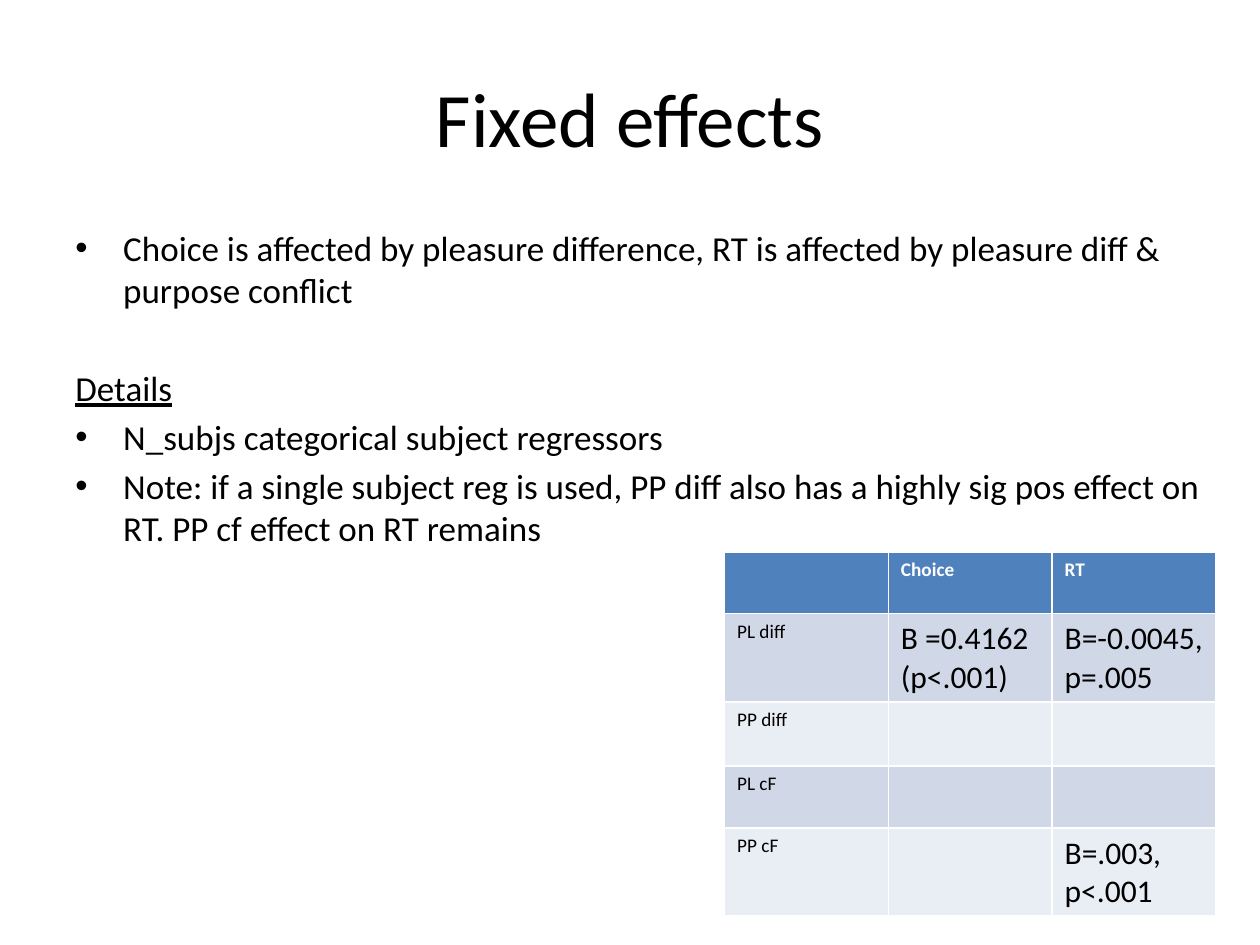
from lxml import etree
from pptx import Presentation, util as u
from pptx.dml.color import RGBColor
from pptx.enum import text
from pptx.oxml import ns

WIDTH, HEIGHT = 10, 7.5
FONT = "Calibri"
BLACK, WHITE = "000000", "FFFFFF"
HEADER, BAND, PLAIN = "4F81BD", "D0D8E8", "E9EDF4"

TITLE_BOX = (0.05, 0.04, 0.9, 1 / 6)
POINTS_BOX = (0.05, 0.233, 0.916, 0.403)
RESULTS_BOX = (0.575, 0.584, 0.39, 0.335)

POINTS = [
    ("Choice is affected by pleasure difference, RT is affected by "
     "pleasure diff & purpose conflict", True, 4),
    ("Details", False, 32),
    ("N_subjs categorical subject regressors", True, 4),
    ("Note: if a single subject reg is used, PP diff also has a highly sig "
     "pos effect on RT. PP cf effect on RT remains", True, 4),
]
RESULTS = [
    ("", "Choice", "RT"),
    ("PL diff", "B =0.4162 (p<.001)", "B=-0.0045, p=.005"),
    ("PP diff", "", ""),
    ("PL cF", "", ""),
    ("PP cF", "", "B=.003, p<.001"),
]


def color(value):
    """Turn a hex string into a colour."""
    return RGBColor.from_string(value)


def place(box):
    """Turn shares of the slide into left, top, width and height."""
    return [u.Inches(share * side)
            for share, side in zip(box, (WIDTH, HEIGHT) * 2)]


def style(paragraph, size, ink=BLACK, bold=False, underline=False):
    """Format every run of a paragraph."""
    for run in paragraph.runs:
        font = run.font
        font.name, font.size = FONT, u.Pt(size)
        font.bold, font.underline = bold, underline
        font.color.rgb = color(ink)


def add_bullet(paragraph):
    """Give a paragraph a hanging round bullet."""
    props = paragraph._p.get_or_add_pPr()
    indent = u.Inches(0.38)
    props.set("marL", str(indent))
    props.set("indent", str(-indent))
    etree.SubElement(props, ns.qn("a:buFont"), typeface="Arial")
    etree.SubElement(props, ns.qn("a:buChar"), char="•")


def add_title(slide, box, wording):
    """Place the centred heading."""
    frame = slide.shapes.add_textbox(*place(box)).text_frame
    frame.word_wrap = True
    frame.vertical_anchor = text.MSO_ANCHOR.MIDDLE
    frame.text = wording
    heading = frame.paragraphs[0]
    heading.alignment = text.PP_ALIGN.CENTER
    style(heading, 44)


def add_points(slide, box, points):
    """Place the bulleted points and their underlined subheading."""
    frame = slide.shapes.add_textbox(*place(box)).text_frame
    frame.word_wrap = True
    frame.text = "\n".join(wording for wording, _, _ in points)
    for paragraph, (_, bulleted, gap) in zip(frame.paragraphs, points):
        paragraph.space_before = u.Pt(gap)
        style(paragraph, 20, underline=not bulleted)
        if bulleted:
            add_bullet(paragraph)


def add_results(slide, box, results):
    """Place the table of regression results."""
    table = slide.shapes.add_table(
        len(results), len(results[0]), *place(box)).table
    for r, row in enumerate(results):
        for c, wording in enumerate(row):
            cell = table.cell(r, c)
            header = r == 0
            cell.text = wording
            cell.fill.solid()
            cell.fill.fore_color.rgb = color(
                HEADER if header else BAND if r % 2 else PLAIN)
            style(cell.text_frame.paragraphs[0],
                  11 if header or c == 0 else 18,
                  WHITE if header else BLACK, bold=header)
    for r, height in enumerate((0.49, 0.51, 0.51, 0.49, 0.51)):
        table.rows[r].height = u.Inches(height)


def main():
    """Build and save the slide."""
    deck = Presentation()
    deck.slide_width, deck.slide_height = u.Inches(WIDTH), u.Inches(HEIGHT)
    slide = deck.slides.add_slide(deck.slide_layouts[6])
    add_title(slide, TITLE_BOX, "Fixed effects")
    add_points(slide, POINTS_BOX, POINTS)
    add_results(slide, RESULTS_BOX, RESULTS)
    deck.save("out.pptx")


if __name__ == "__main__":
    main()
